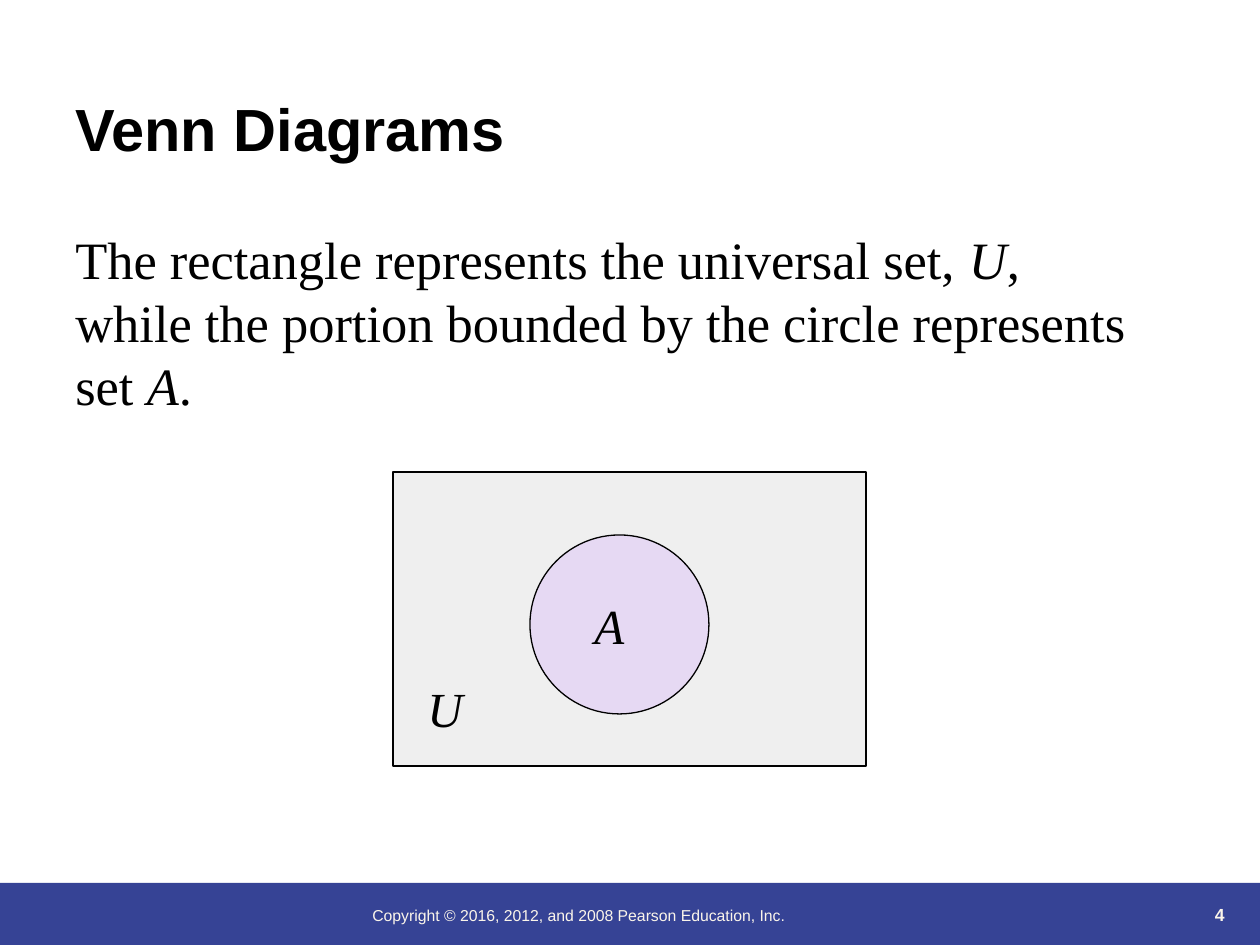
from lxml import etree
from pptx import Presentation
from pptx import util as u
from pptx.dml.color import RGBColor
from pptx.enum import shapes, text
from pptx.oxml import ns

SCALE = 914400 / 126  # EMU per px
SANS, SERIF = "Arial", "Times New Roman"
BLACK, CREAM = "000000", "FBF5EA"
KIND = shapes.MSO_SHAPE


def px(*vals):
    return [u.Emu(round(v * SCALE)) for v in vals]


def paint(fmt, hue):
    fmt.rgb = RGBColor.from_string(hue)


def add_area(slide, kind, box, hue, alpha=None, line=None):
    """Draw a filled shape; alpha is the opacity in percent."""
    area = slide.shapes.add_shape(kind, *px(*box))
    area.shadow.inherit = False
    area.fill.solid()
    paint(area.fill.fore_color, hue)
    if alpha:
        tone = area.fill._xPr.find(".//" + ns.qn("a:srgbClr"))
        etree.SubElement(tone, ns.qn("a:alpha"), val=str(alpha * 1000))
    if line:
        paint(area.line.color, line)
        area.line.width = u.Pt(0.75)
    else:
        area.line.fill.background()


def add_text(slide, box, runs, size, face, hue=BLACK, anchor="TOP",
             align="LEFT", pitch=None, **style):
    """Place one paragraph; each run is (words, italic)."""
    frame = slide.shapes.add_textbox(*px(*box)).text_frame
    frame.word_wrap = True
    frame.vertical_anchor = getattr(text.MSO_ANCHOR, anchor)
    para = frame.paragraphs[0]
    para.alignment = getattr(text.PP_ALIGN, align)
    if pitch:
        para.line_spacing = u.Pt(pitch)
    for words, slant in runs:
        run = para.add_run()
        run.text = words
        form = {"name": face, "size": u.Pt(size), "italic": slant, **style}
        for key, val in form.items():
            setattr(run.font, key, val)
        paint(run.font.color, hue)


def add_foot(slide):
    add_area(slide, KIND.RECTANGLE, (0, 883, 1260, 62), "364395")
    note = "Copyright © 2016, 2012, and 2008 Pearson Education, Inc."
    add_text(slide, (360, 900, 620, 63), [(note, False)], 9, SANS, CREAM)
    add_text(slide, (1121, 868, 116, 63), [("4", False)], 10, SANS, CREAM,
             "BOTTOM", "RIGHT", bold=True)


def add_venn(slide):
    add_area(slide, KIND.RECTANGLE, (393, 472, 473, 294), "C0C0C0", 24, BLACK)
    add_area(slide, KIND.OVAL, (530, 535, 179, 179), "CC99FF", 25, BLACK)
    for name, left, top in (("U", 415, 672), ("A", 582, 589)):
        add_text(slide, (left, top, 84, 72), [(name, True)], 28, SERIF,
                 pitch=34)


def main():
    deck = Presentation()
    deck.slide_width, deck.slide_height = px(1260, 945)
    slide = deck.slides.add_slide(deck.slide_layouts[6])

    # Footer bar, copyright and page number
    add_foot(slide)

    # Heading
    add_text(slide, (63, 23, 1187, 147), [("Venn Diagrams", False)], 34, SANS,
             anchor="BOTTOM", bold=True)

    # Universal set with circle
    add_venn(slide)

    # Explanation
    body = [
        ("The rectangle represents the universal set, ", False),
        ("U", True),
        (", while the portion bounded by the circle represents set ", False),
        ("A", True),
        (".", False),
    ]
    add_text(slide, (63, 221, 1099, 202), body, 30, SERIF, pitch=36)

    deck.save("out.pptx")


if __name__ == "__main__":
    main()
